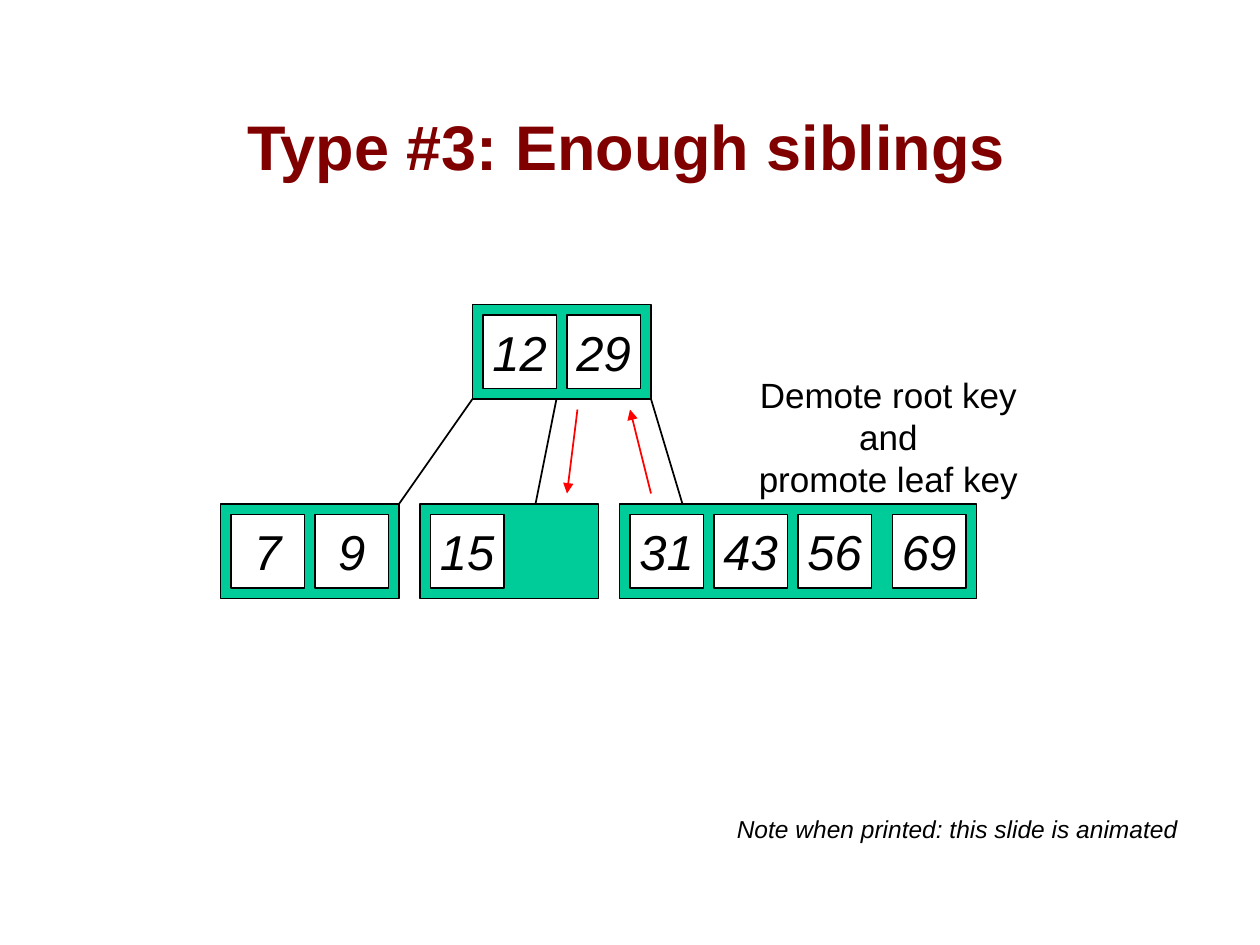
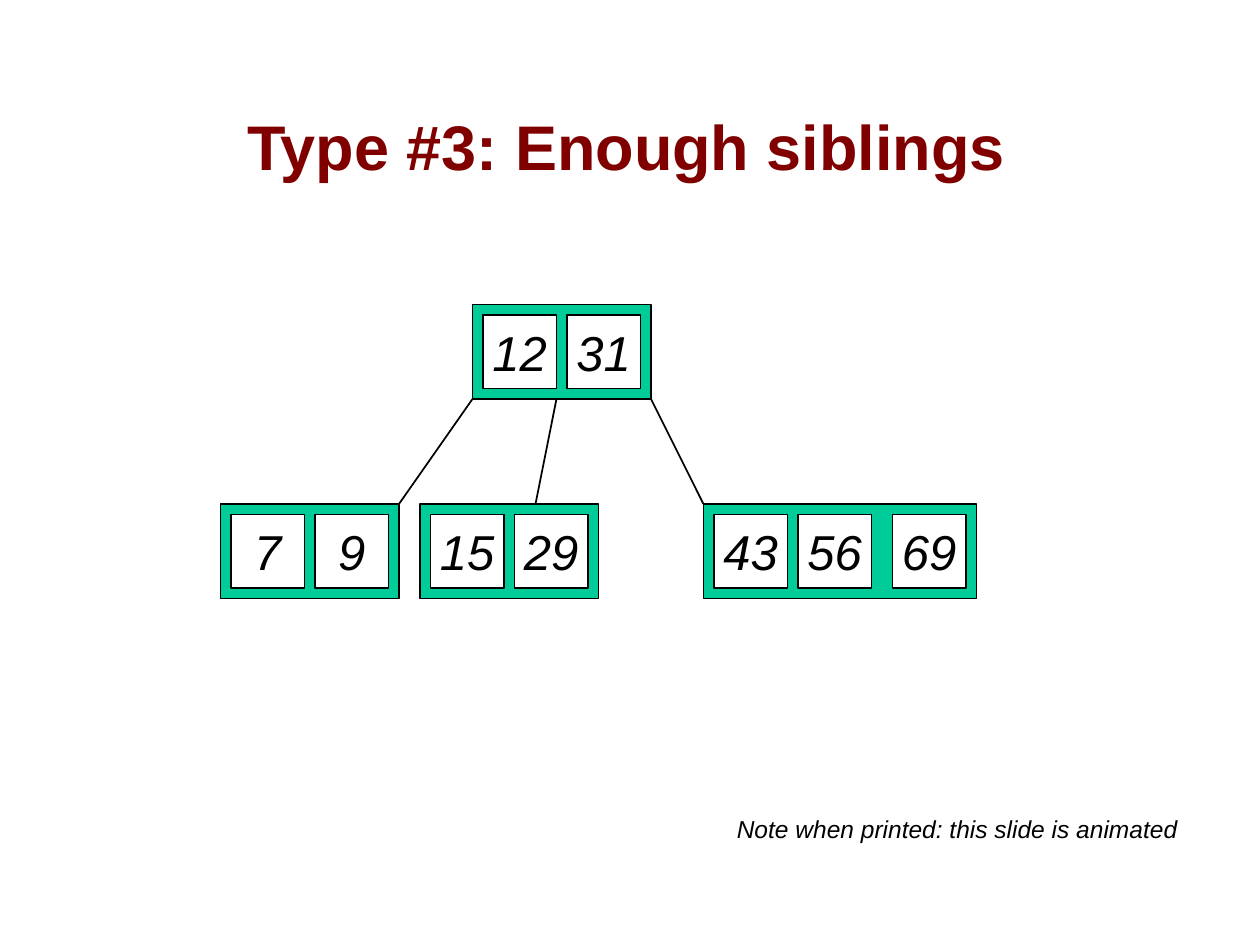
"""Build two slides showing a B-tree before and after a key moves between siblings."""
from lxml.etree import SubElement
from pptx import Presentation
from pptx.dml.color import RGBColor
from pptx.enum.shapes import MSO_CONNECTOR as Connector, MSO_SHAPE as Preset
from pptx.enum.text import MSO_ANCHOR as Anchor, PP_ALIGN as Align
from pptx.oxml.ns import qn
from pptx.util import Cm, Pt

COLOURS = {
    "title": "800000",
    "node": "00CC99",
    "key": "FFFFFF",
    "ink": "000000",
    "move": "FF0000",
}
FONT = "Arial"
TITLE = "Type #3: Enough siblings"
NOTE = "Note when printed: this slide is animated"
CAPTION = "Demote root key and\npromote leaf key"

TITLE_AREA = (1.12, 0.64, 23.01, 3.18)
NOTE_AREA = (14.6, 16.28, 9.4, 0.86)
CAPTION_AREA = (14.38, 7.82, 7.06, 1.96)

GRID = 2.54 / 12
KEY, GAP, NODE_HEIGHT = 7, 1, 9
ROOT_TOP, LEAF_TOP = 29, 48
ROOT_BASE = ROOT_TOP + NODE_HEIGHT
ROOT_LEFT = 45
LEFT_LEAF = (21, LEAF_TOP, 17, [7, 9])
SHARED_EDGES = [((45, ROOT_BASE), (38, LEAF_TOP)), ((53, ROOT_BASE), (51, LEAF_TOP))]

SLIDES = [
    {
        "nodes": [
            (ROOT_LEFT, ROOT_TOP, 17, [12, 29]),
            LEFT_LEAF,
            (40, LEAF_TOP, 17, [15]),
            (59, LEAF_TOP, 34, [31, 43, 56, 69]),
        ],
        "last_edge_end": 65,
        "moves": [((62, 47), (60, 39)), ((55, 39), (54, 47))],
        "caption": CAPTION,
    },
    {
        "nodes": [
            (ROOT_LEFT, ROOT_TOP, 17, [12, 31]),
            LEFT_LEAF,
            (40, LEAF_TOP, 17, [15, 29]),
            (67, LEAF_TOP, 26, [43, 56, 69]),
        ],
        "last_edge_end": 67,
        "moves": [],
        "caption": None,
    },
]


def colour(name):
    return RGBColor.from_string(COLOURS[name])


def on_grid(*units):
    return [Cm(unit * GRID) for unit in units]


def write(frame, text, size, ink="ink", bold=False, italic=False,
          anchor=Anchor.MIDDLE, wrap=False):
    frame.word_wrap = wrap
    frame.vertical_anchor = anchor
    for index, line in enumerate(text.split("\n")):
        para = frame.add_paragraph() if index else frame.paragraphs[0]
        para.alignment = Align.CENTER
        span = para.add_run()
        span.text = line
        font = span.font
        font.name, font.size = FONT, Pt(size)
        font.bold, font.italic = bold, italic
        font.color.rgb = colour(ink)


def add_label(page, area, text, size, **style):
    box = page.shapes.add_textbox(*map(Cm, area))
    write(box.text_frame, text, size, **style)


def add_box(page, left, top, width, height, fill):
    box = page.shapes.add_shape(Preset.RECTANGLE, *on_grid(left, top, width, height))
    box.shadow.inherit = False
    box.fill.solid()
    box.fill.fore_color.rgb = colour(fill)
    box.line.color.rgb = colour("ink")
    box.line.width = Pt(1)
    return box


def add_node(page, left, top, width, keys):
    add_box(page, left, top, width, NODE_HEIGHT, "node")
    for index, key in enumerate(keys):
        key_left = left + GAP + index * (KEY + GAP)
        if key == 69:
            key_left = left + width - GAP - KEY
        cell = add_box(page, key_left, top + GAP, KEY, KEY, "key")
        write(cell.text_frame, str(key), 28, italic=True)


def add_line(page, start, end, ink="ink", arrow=False):
    line = page.shapes.add_connector(Connector.STRAIGHT, *on_grid(*start, *end))
    line.line.color.rgb = colour(ink)
    line.line.width = Pt(1)
    if arrow:
        SubElement(line.line._get_or_add_ln(), qn("a:tailEnd"), type="triangle")
    SubElement(line._element.spPr, qn("a:effectLst"))


def add_page(deck, content):
    page = deck.slides.add_slide(deck.slide_layouts[6])
    add_label(page, TITLE_AREA, TITLE, 36, ink="title", bold=True,
              anchor=Anchor.BOTTOM, wrap=True)
    for node in content["nodes"]:
        add_node(page, *node)
    last_edge = ((62, ROOT_BASE), (content["last_edge_end"], LEAF_TOP))
    for start, end in SHARED_EDGES + [last_edge]:
        add_line(page, start, end)
    for start, end in content["moves"]:
        add_line(page, start, end, ink="move", arrow=True)
    if content["caption"]:
        add_label(page, CAPTION_AREA, content["caption"], 20)
    add_label(page, NOTE_AREA, NOTE, 14, italic=True)


def main():
    deck = Presentation()
    deck.slide_width, deck.slide_height = Cm(25.4), Cm(19.05)
    for content in SLIDES:
        add_page(deck, content)
    deck.save("out.pptx")


if __name__ == "__main__":
    main()
